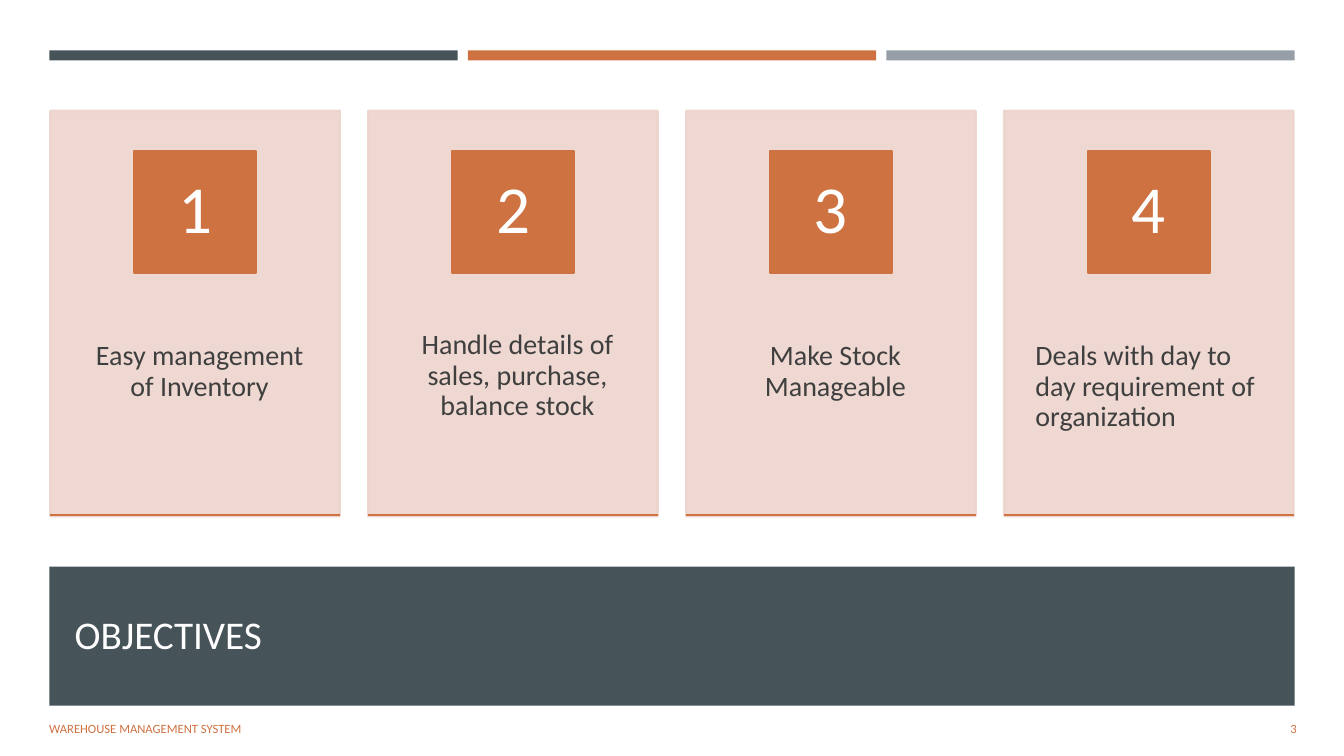
from lxml import etree
from pptx import Presentation, util as u
from pptx.dml.color import RGBColor
from pptx.enum import shapes, text
from pptx.oxml.ns import qn

COLORS = {
    "slate": "465359", "orange": "CE7242", "gray": "969FA7", "blush": "EDD4CD",
    "ink": "3F3F3F", "white": "FFFFFF", "title": "FFFEFF",
}
LEFT, CENTER, RIGHT = text.PP_ALIGN.LEFT, text.PP_ALIGN.CENTER, text.PP_ALIGN.RIGHT
TOP, MIDDLE = text.MSO_ANCHOR.TOP, text.MSO_ANCHOR.MIDDLE


class SlideBuilder:
    """Hold the style and the current slide, and add each kind of element."""

    def __init__(self, slide, font="Calibri"):
        self.slide = slide
        self.font = font

    def color(self, name):
        return RGBColor.from_string(COLORS[name])

    def fade(self, fill, percent):
        for tone in fill.iter(qn("a:srgbClr")):
            etree.SubElement(tone, qn("a:alpha"), val=str(percent * 1000))

    def set_words(self, holder, words, size, color, align=LEFT, anchor=MIDDLE,
                  insets=(0.1, 0.05, 0.1, 0.05), spacing=1.0):
        frame = holder.text_frame
        frame.word_wrap = True
        frame.auto_size = text.MSO_AUTO_SIZE.NONE
        frame.vertical_anchor = anchor
        (frame.margin_left, frame.margin_top,
         frame.margin_right, frame.margin_bottom) = map(u.Inches, insets)
        paragraph = frame.paragraphs[0]
        paragraph.alignment = align
        paragraph.line_spacing = spacing
        run = paragraph.add_run()
        run.text = words
        run.font.name = self.font
        run.font.size = u.Pt(size)
        run.font.color.rgb = self.color(color)

    def rect(self, box, color, outlined=False, opacity=100):
        block = self.slide.shapes.add_shape(
            shapes.MSO_SHAPE.RECTANGLE, *map(u.Inches, box))
        block.shadow.inherit = False
        block.fill.solid()
        block.fill.fore_color.rgb = self.color(color)
        if outlined:
            block.line.color.rgb = self.color(color)
            block.line.width = u.Pt(1.75)
        else:
            block.line.fill.background()
        if opacity < 100:
            self.fade(block.element.spPr, opacity)
        return block

    def label(self, box, words, size, color, **layout):
        holder = self.slide.shapes.add_textbox(*map(u.Inches, box))
        self.set_words(holder, words, size, color, **layout)

    def rule(self, left, top, width, color):
        line = self.slide.shapes.add_connector(
            shapes.MSO_CONNECTOR.STRAIGHT,
            *map(u.Inches, (left, top, left + width, top)))
        line.line.color.rgb = self.color(color)
        line.line.width = u.Pt(1.75)
        etree.SubElement(line.element.spPr, qn("a:effectLst"))

    def title(self, box, words, size, color):
        heading = self.slide.shapes.title
        heading.left, heading.top, heading.width, heading.height = map(u.Inches, box)
        self.set_words(heading, words, size, color)
        heading.element.getparent().append(heading.element)

    def card(self, left, number, goal, align, goal_top):
        width, badge = 2.87, 1.21
        self.rect((left, 1.1, width, 4.02), "blush", outlined=True, opacity=90)
        self.label((left, goal_top, width, 5.03 - goal_top), goal, 20, "ink",
                   align=align, anchor=TOP, insets=(0.31, 0, 0.22, 0), spacing=0.9)
        square = self.rect((left + (width - badge) / 2, 1.5, badge, badge),
                           "orange", outlined=True)
        self.set_words(square, str(number), 48, "white", align=CENTER,
                       insets=(0.09, 0.01, 0.09, 0.01), spacing=0.9)
        self.rule(left, 5.11, width, "orange")


def main():
    deck = Presentation()
    deck.slide_width, deck.slide_height = u.Inches(13.33), u.Inches(7.5)
    builder = SlideBuilder(deck.slides.add_slide(deck.slide_layouts[5]))

    builder.rect((0.49, 5.62, 12.35, 1.38), "slate")
    builder.title((0.64, 5.76, 12.06, 1.05), "OBJECTIVES", 28, "title")
    for column, color in enumerate(("slate", "orange", "gray")):
        builder.rect((0.49 + 4.15 * column, 0.5, 4.05, 0.1), color)
    builder.label((0.39, 7.03, 7.56, 0.4), "WAREHOUSE MANAGEMENT SYSTEM", 9, "orange")
    builder.label((11.81, 7.03, 1.15, 0.4), "3", 9, "orange", align=RIGHT)

    first_left, last_left = 0.5, 9.96
    goals = (
        ("Easy management of Inventory", CENTER, 3.39),
        ("Handle details of sales, purchase, balance stock", CENTER, 3.28),
        ("Make Stock Manageable", CENTER, 3.39),
        ("Deals with day to day requirement of organization", LEFT, 3.39),
    )
    pitch = (last_left - first_left) / (len(goals) - 1)
    for column, (goal, align, goal_top) in enumerate(goals):
        builder.card(first_left + pitch * column, column + 1, goal, align, goal_top)

    deck.save("out.pptx")


if __name__ == "__main__":
    main()
